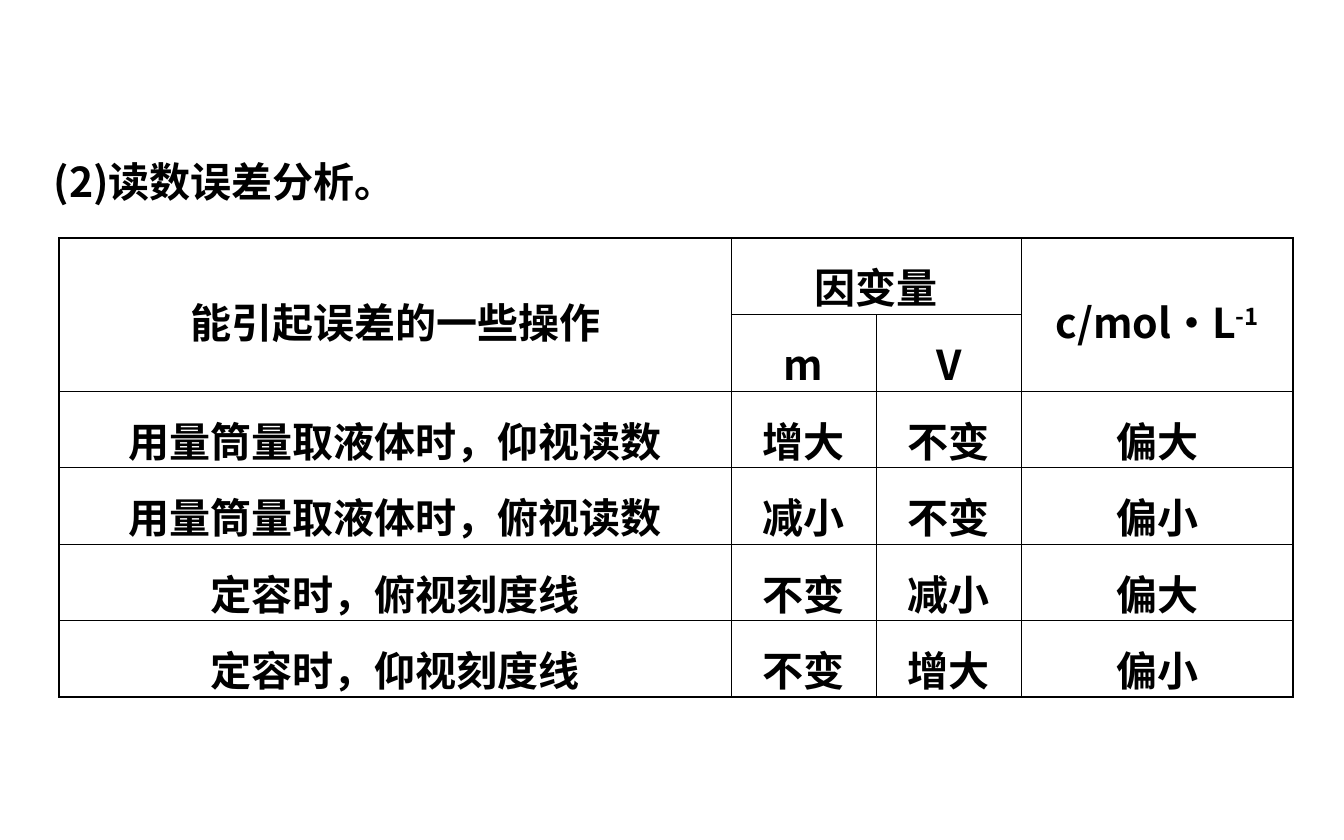
"""Build a slide with a table of reading errors and their effects."""
from dataclasses import dataclass

from lxml import etree
from pptx import Presentation
from pptx import util as u
from pptx.dml.color import RGBColor
from pptx.enum import text
from pptx.oxml import ns

HUES = {"ink": "000000"}
FACE = "Noto Sans CJK SC"
FORM = {"name": FACE, "size": u.Pt(22), "bold": True}
THIN, THICK = 0.45, 0.96
WIDTHS = [5, 1.08, 1.08, 2.02]
HEIGHT = 0.57


@dataclass
class Entry:
    """One table cell's text, position and span."""
    row: int
    col: int
    words: str
    rows: int = 1
    cols: int = 1
    power: str = ""


DATA = [
    ("用量筒量取液体时，仰视读数", "增大", "不变", "偏大"),
    ("用量筒量取液体时，俯视读数", "减小", "不变", "偏小"),
    ("定容时，俯视刻度线", "不变", "减小", "偏大"),
    ("定容时，仰视刻度线", "不变", "增大", "偏小"),
]
HEAD = [
    Entry(0, 0, "能引起误差的一些操作", rows=2),
    Entry(0, 1, "因变量", cols=2),
    Entry(0, 3, "c/mol·L", rows=2, power="-1"),
    Entry(1, 1, "m"),
    Entry(1, 2, "V"),
]
BODY = [Entry(r, c, words) for r, line in enumerate(DATA, 2)
        for c, words in enumerate(line)]


def add_run(para, words: str, power: bool = False) -> None:
    """Add a formatted run, raised if it is a power."""
    run = para.add_run()
    run.text = words
    for key, value in FORM.items():
        setattr(run.font, key, value)
    run.font.color.rgb = RGBColor.from_string(HUES["ink"])
    props = run._r.get_or_add_rPr()
    etree.SubElement(props, ns.qn("a:ea"), typeface=FACE)
    if power:
        props.set("baseline", "30000")


def set_edges(cell, sizes: dict[str, float]) -> None:
    """Clear the cell's fill and draw its borders."""
    cell.fill.background()
    props = cell._tc.get_or_add_tcPr()
    for spot, (side, size) in enumerate(sizes.items()):
        line = etree.Element(ns.qn(f"a:ln{side}"), w=str(int(u.Pt(size))))
        fill = etree.SubElement(line, ns.qn("a:solidFill"))
        etree.SubElement(fill, ns.qn("a:srgbClr"), val=HUES["ink"])
        props.insert(spot, line)


def fill_cell(table, entry: Entry) -> None:
    """Merge the entry's span and write its text."""
    cell = table.cell(entry.row, entry.col)
    if entry.rows * entry.cols > 1:
        cell.merge(table.cell(entry.row + entry.rows - 1,
                              entry.col + entry.cols - 1))
    cell.vertical_anchor = text.MSO_ANCHOR.MIDDLE
    para = cell.text_frame.paragraphs[0]
    para.alignment = text.PP_ALIGN.CENTER
    para.line_spacing = 1.2
    add_run(para, entry.words)
    if entry.power:
        add_run(para, entry.power, True)


def add_title(slide) -> None:
    """Place and format the slide's title."""
    title = slide.shapes.title
    place = {"left": 0.3, "top": 0.82, "width": 9.43, "height": 0.76}
    for key, value in place.items():
        setattr(title, key, u.Inches(value))
    frame = title.text_frame
    form = {"word_wrap": True, "vertical_anchor": text.MSO_ANCHOR.TOP,
            "auto_size": text.MSO_AUTO_SIZE.SHAPE_TO_FIT_TEXT}
    for key, value in form.items():
        setattr(frame, key, value)
    para = frame.paragraphs[0]
    para.alignment = text.PP_ALIGN.LEFT
    para.line_spacing = 1.8
    para.space_before = u.Pt(0)
    add_run(para, "(2)读数误差分析。")


def add_grid(slide) -> None:
    """Add the table with its borders and text."""
    rows, cols = len(DATA) + 2, len(WIDTHS)
    table = slide.shapes.add_table(
        rows, cols, u.Inches(0.44), u.Inches(1.77),
        u.Inches(sum(WIDTHS)), u.Inches(HEIGHT * rows)).table
    table.first_row = table.horz_banding = False
    for col, width in zip(table.columns, WIDTHS):
        col.width = u.Inches(width)
    for r in range(rows):
        table.rows[r].height = u.Inches(HEIGHT)
        for c in range(cols):
            outer = {"L": c == 0, "R": c == cols - 1,
                     "T": r == 0, "B": r == rows - 1}
            set_edges(table.cell(r, c), {side: THICK if out else THIN
                                         for side, out in outer.items()})
    for entry in HEAD + BODY:
        fill_cell(table, entry)


def main() -> None:
    """Build and save the deck."""
    deck = Presentation()
    deck.slide_width, deck.slide_height = u.Inches(10), u.Inches(6.25)
    slide = deck.slides.add_slide(deck.slide_layouts[5])
    add_title(slide)
    add_grid(slide)
    deck.save("out.pptx")


if __name__ == "__main__":
    main()
